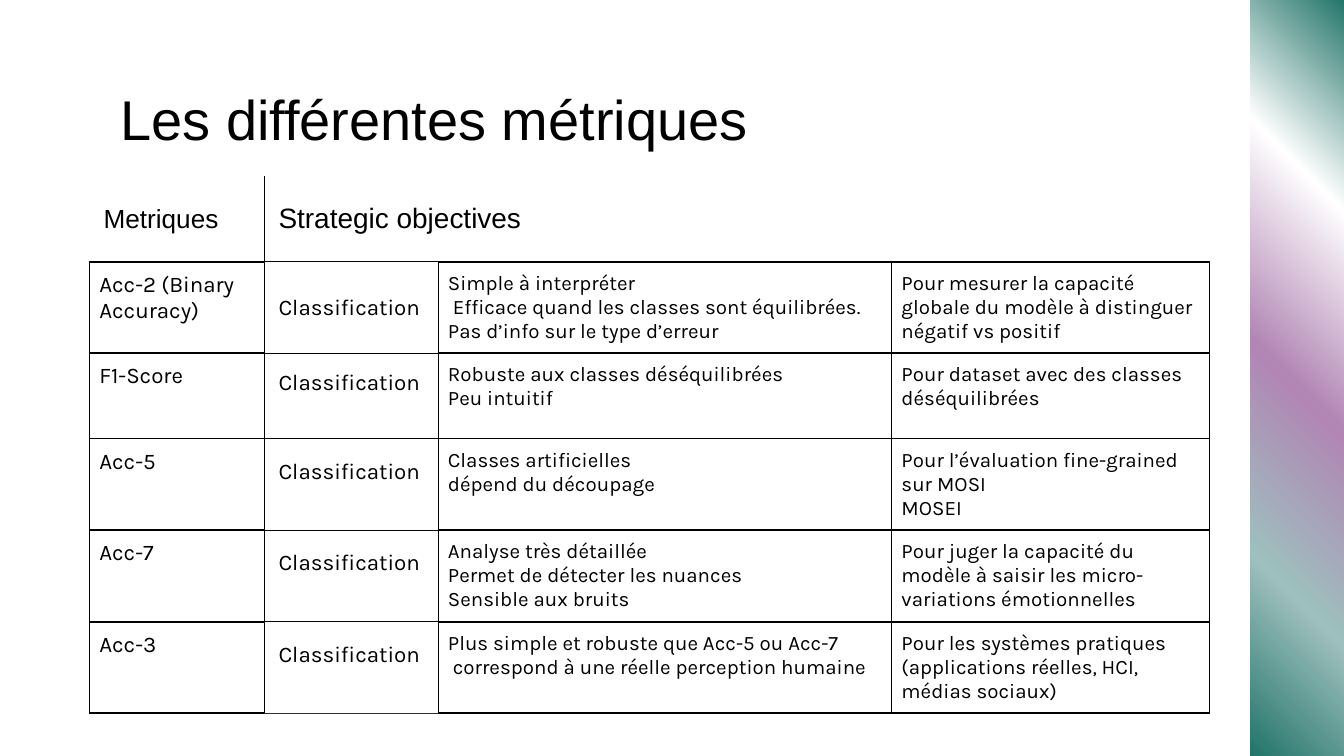
"""Build the slide comparing the classification metrics."""
from lxml import etree
from pptx import Presentation
from pptx.dml.color import RGBColor
from pptx.enum.shapes import MSO_SHAPE
from pptx.enum.text import MSO_ANCHOR, MSO_AUTO_SIZE, PP_ALIGN
from pptx.oxml.ns import qn
from pptx.util import Pt

PX = 9525
TOP, MIDDLE = MSO_ANCHOR.TOP, MSO_ANCHOR.MIDDLE
LEFT, NO_FIT = PP_ALIGN.LEFT, MSO_AUTO_SIZE.NONE
RECTANGLE = MSO_SHAPE.RECTANGLE

BLACK = RGBColor(0x00, 0x00, 0x00)
WHITE = RGBColor(0xFF, 0xFF, 0xFF)
GREEN = RGBColor(0x20, 0x73, 0x68)
TEAL = RGBColor(0x9E, 0xC0, 0xBE)
PURPLE = RGBColor(0xB1, 0x85, 0xB4)
DARK_TEAL = RGBColor(0x0F, 0x3D, 0x3E)

BAND_STOPS = [(0, GREEN), (24, TEAL), (49, PURPLE), (75, WHITE), (100, GREEN)]
COLUMN_WIDTHS = [125, 124, 324, 227]
ROW_HEIGHTS = [61, 65, 61, 65, 65, 65]
VERTICAL_RULES = [1, 0.75, 0.75, 1, 1]
METRICS = [
    ("Acc-2 (Binary Accuracy)",
     "Simple à interpréter\n Efficace quand les classes sont équilibrées.\nPas d’info sur le type d’erreur",
     "Pour mesurer la capacité globale du modèle à distinguer négatif vs positif"),
    ("F1-Score",
     "Robuste aux classes déséquilibrées\nPeu intuitif",
     "Pour dataset avec des classes déséquilibrées"),
    ("Acc-5",
     "Classes artificielles\ndépend du découpage",
     "Pour l’évaluation fine-grained sur MOSI\nMOSEI"),
    ("Acc-7",
     "Analyse très détaillée\nPermet de détecter les nuances\nSensible aux bruits",
     "Pour juger la capacité du modèle à saisir les micro-variations émotionnelles"),
    ("Acc-3",
     "Plus simple et robuste que Acc-5 ou Acc-7\n correspond à une réelle perception humaine",
     "Pour les systèmes pratiques (applications réelles, HCI, médias sociaux)"),
]


def write(frame, text, font_name, size):
    frame.text = text
    frame.word_wrap = True
    for paragraph in frame.paragraphs:
        paragraph.alignment = LEFT
        font = paragraph.runs[0].font
        for attribute, value in {"name": font_name, "size": Pt(size), "bold": False}.items():
            setattr(font, attribute, value)
        font.color.rgb = BLACK


def rule(cell, widths, bottom_color=BLACK):
    properties = cell._tc.get_or_add_tcPr()
    for side, width in zip("LRTB", widths):
        line = etree.SubElement(properties, qn(f"a:ln{side}"), w=str(Pt(width)))
        if width:
            solid = etree.SubElement(line, qn("a:solidFill"))
            color = bottom_color if side == "B" else BLACK
            etree.SubElement(solid, qn("a:srgbClr"), val=str(color))
        else:
            etree.SubElement(line, qn("a:noFill"))
    cell.fill.background()


presentation = Presentation()
presentation.slide_width, presentation.slide_height = 960 * PX, 540 * PX
slide = presentation.slides.add_slide(presentation.slide_layouts[5])

band = slide.shapes.add_shape(RECTANGLE, 893 * PX, -3 * PX, 67 * PX, 545 * PX)
band.shadow.inherit = False
band.line.fill.background()
band.rotation = 180
band.element.spPr.find(qn("a:xfrm")).set("flipH", "1")
band.fill.gradient()
band.fill.gradient_angle = 315
stop_list = band.element.spPr.find(".//" + qn("a:gsLst"))
stop_list.clear()
for percent, color in BAND_STOPS:
    stop = etree.SubElement(stop_list, qn("a:gs"), pos=str(percent * 1000))
    etree.SubElement(stop, qn("a:srgbClr"), val=str(color))

title = slide.shapes.title
for attribute, value in {"left": 76, "top": 47, "width": 809, "height": 60}.items():
    setattr(title, attribute, value * PX)
title_format = {"auto_size": NO_FIT, "vertical_anchor": TOP, "margin_left": 10 * PX,
                "margin_right": 10 * PX, "margin_top": 13 * PX, "margin_bottom": 0}
for attribute, value in title_format.items():
    setattr(title.text_frame, attribute, value)
write(title.text_frame, "Les différentes métriques", "Arial", 30)

metrics = slide.shapes.add_table(
    len(ROW_HEIGHTS), len(COLUMN_WIDTHS), 64 * PX, 126 * PX,
    sum(COLUMN_WIDTHS) * PX, sum(ROW_HEIGHTS) * PX).table
metrics.first_row = metrics.horz_banding = False
for column, width in zip(metrics.columns, COLUMN_WIDTHS):
    column.width = width * PX
for row, height in zip(metrics.rows, ROW_HEIGHTS):
    row.height = height * PX

for column, widths in enumerate([(0, 0.75, 0, 1), (0.75, 0, 0, 0.75), (0, 0, 0, 1), (0, 0, 0, 1)]):
    rule(metrics.cell(0, column), widths)
metrics.cell(0, 1).merge(metrics.cell(0, 3))
for column, (heading, size) in enumerate([("Metriques", 14), ("Strategic objectives", 15)]):
    cell = metrics.cell(0, column)
    cell.vertical_anchor = MIDDLE
    cell.margin_left = cell.margin_right = 10 * PX
    write(cell.text_frame, heading, "Arial", size)

for row, (metric, traits, purpose) in enumerate(METRICS, start=1):
    for column, text in enumerate([metric, "Classification", traits, purpose]):
        cell = metrics.cell(row, column)
        is_task = column == 1
        margin = 10 if is_task else 7
        lift = 18 if is_task and row > 1 else 0
        cell_format = {"vertical_anchor": MIDDLE if is_task else TOP,
                       "margin_left": margin * PX, "margin_right": margin * PX,
                       "margin_top": margin * PX, "margin_bottom": (margin + lift) * PX}
        for attribute, value in cell_format.items():
            setattr(cell, attribute, value)
        write(cell.text_frame, text, "Karla", 12 if column < 2 else 11)
        level = 0.75 if is_task else 1
        is_last_task = is_task and row == len(METRICS)
        rule(cell, (*VERTICAL_RULES[column:column + 2], level, level),
             DARK_TEAL if is_last_task else BLACK)

presentation.save("out.pptx")
